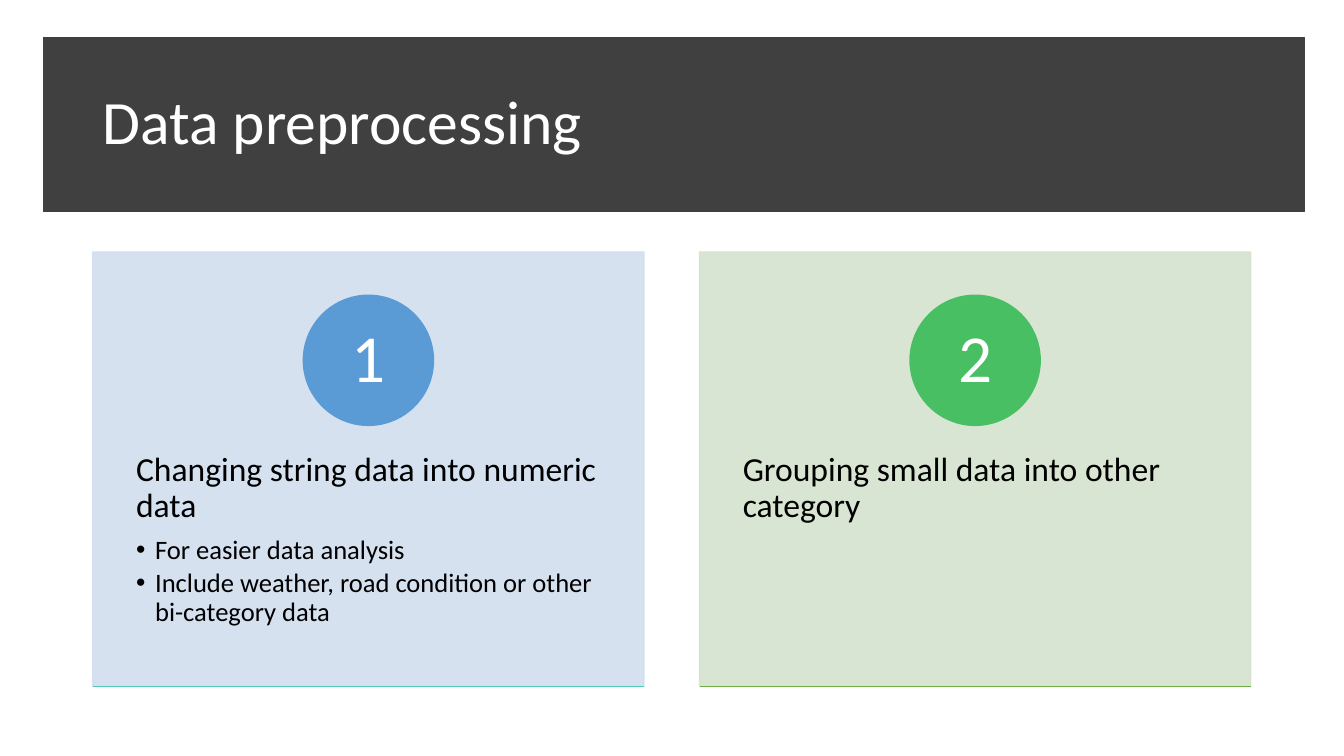
from dataclasses import dataclass

import lxml.etree
import pptx
import pptx.dml.color
import pptx.enum.shapes
import pptx.enum.text
import pptx.oxml.ns
import pptx.util

Cm = pptx.util.Cm
Pt = pptx.util.Pt
ALIGN = pptx.enum.text.PP_ALIGN
ANCHOR = pptx.enum.text.MSO_ANCHOR
SHAPE = pptx.enum.shapes.MSO_SHAPE


@dataclass(frozen=True)
class Theme:
    font: str = "Calibri"
    band: str = "404040"
    light: str = "FFFFFF"
    dark: str = "000000"
    title_size: int = 44
    number_size: int = 48
    heading_size: int = 24
    bullet_size: int = 19


@dataclass(frozen=True)
class Step:
    heading: str
    bullets: tuple
    panel: str
    badge: str
    baseline: str


STEPS = (
    Step("Changing string data into numeric data",
         ("For easier data analysis",
          "Include weather, road condition or other bi-category data"),
         "D2DEEF", "5B9BD5", "52CAB8"),
    Step("Grouping small data into other category", (),
         "D5E3CF", "49BF64", "70AD47"),
)

MARGIN = 2.34
PANEL_TOP, PANEL_WIDTH, PANEL_HEIGHT = 6.35, 13.89, 10.95
PANEL_PITCH = 15.29
BADGE_TOP, BADGE_SIZE = 7.44, 3.28
BODY_TOP, BODY_HEIGHT = 10.49, 6.55


def add_xml(parent, tag, **attributes):
    return lxml.etree.SubElement(parent, pptx.oxml.ns.qn(tag), **attributes)


def rgb(color):
    return pptx.dml.color.RGBColor.from_string(color)


class Deck:
    def __init__(self, theme):
        self.theme = theme
        self.presentation = pptx.Presentation()
        self.presentation.slide_width = Cm(33.87)
        self.presentation.slide_height = Cm(19.05)
        self.slide = self.presentation.slides.add_slide(
            self.presentation.slide_layouts[5])

    def block(self, kind, left, top, width, height, color, alpha=None):
        block = self.slide.shapes.add_shape(
            kind, Cm(left), Cm(top), Cm(width), Cm(height))
        block.shadow.inherit = False
        block.fill.solid()
        block.fill.fore_color.rgb = rgb(color)
        block.line.color.rgb = rgb(color)
        block.line.width = Pt(1)
        if alpha:
            for tone in block._element.spPr.iter(pptx.oxml.ns.qn("a:srgbClr")):
                add_xml(tone, "a:alpha", val=str(alpha * 1000))
        return block

    def rule(self, left, top, width, color):
        rule = self.slide.shapes.add_connector(
            pptx.enum.shapes.MSO_CONNECTOR.STRAIGHT,
            Cm(left), Cm(top), Cm(left + width), Cm(top))
        rule.line.color.rgb = rgb(color)
        rule.line.width = Pt(1)
        add_xml(rule._element.spPr, "a:effectLst")

    def frame(self, holder, anchor, side, edge):
        frame = holder.text_frame
        frame.word_wrap = True
        frame.vertical_anchor = anchor
        frame.margin_left = frame.margin_right = Cm(side)
        frame.margin_top = frame.margin_bottom = Cm(edge)
        return frame

    def set_text(self, paragraph, text, size, color, after=0.0,
                 align=ALIGN.LEFT, bullet=False):
        paragraph.text = text
        paragraph.alignment = align
        paragraph.line_spacing = 0.9
        paragraph.space_before = Pt(0)
        paragraph.space_after = Pt(size * after)
        if bullet:
            settings = paragraph._p.get_or_add_pPr()
            settings.set("marL", str(Cm(0.48)))
            settings.set("indent", str(Cm(-0.48)))
            add_xml(settings, "a:buFont", typeface="Arial")
            add_xml(settings, "a:buChar", char="•")
        paragraph.font.name = self.theme.font
        paragraph.font.size = Pt(size)
        paragraph.font.color.rgb = rgb(color)

    def title(self, text):
        title = self.slide.shapes.title
        title.left, title.top = Cm(MARGIN), Cm(1.3)
        title.width, title.height = Cm(29.21), Cm(3.68)
        band = self.block(SHAPE.RECTANGLE, 1.09, 0.94, 31.78, 4.39,
                          self.theme.band)
        title._element.addprevious(band._element)
        frame = self.frame(title, ANCHOR.MIDDLE, 0.25, 0.13)
        self.set_text(frame.paragraphs[0], text, self.theme.title_size,
                      self.theme.light)

    def badge(self, left, number, color):
        badge = self.block(SHAPE.OVAL, left, BADGE_TOP, BADGE_SIZE,
                           BADGE_SIZE, color)
        frame = self.frame(badge, ANCHOR.MIDDLE, 0.25, 0.03)
        self.set_text(frame.paragraphs[0], str(number), self.theme.number_size,
                      self.theme.light, align=ALIGN.CENTER)

    def body(self, left, heading, bullets):
        body = self.slide.shapes.add_textbox(
            Cm(left), Cm(BODY_TOP), Cm(PANEL_WIDTH), Cm(BODY_HEIGHT))
        frame = self.frame(body, ANCHOR.TOP, 1.09, 0.91)
        self.set_text(frame.paragraphs[0], heading, self.theme.heading_size,
                      self.theme.dark, after=0.35)
        for bullet in bullets:
            self.set_text(frame.add_paragraph(), bullet,
                          self.theme.bullet_size, self.theme.dark,
                          after=0.15, bullet=True)

    def card(self, left, number, step):
        self.block(SHAPE.RECTANGLE, left, PANEL_TOP, PANEL_WIDTH,
                   PANEL_HEIGHT, step.panel, alpha=90)
        self.body(left, step.heading, step.bullets)
        self.badge(left + (PANEL_WIDTH - BADGE_SIZE) / 2, number, step.badge)
        self.rule(left, PANEL_TOP + PANEL_HEIGHT, PANEL_WIDTH, step.baseline)


def main():
    deck = Deck(Theme())
    deck.title("Data preprocessing")
    for index, step in enumerate(STEPS):
        deck.card(MARGIN + index * PANEL_PITCH, index + 1, step)
    deck.presentation.save("out.pptx")


if __name__ == "__main__":
    main()
